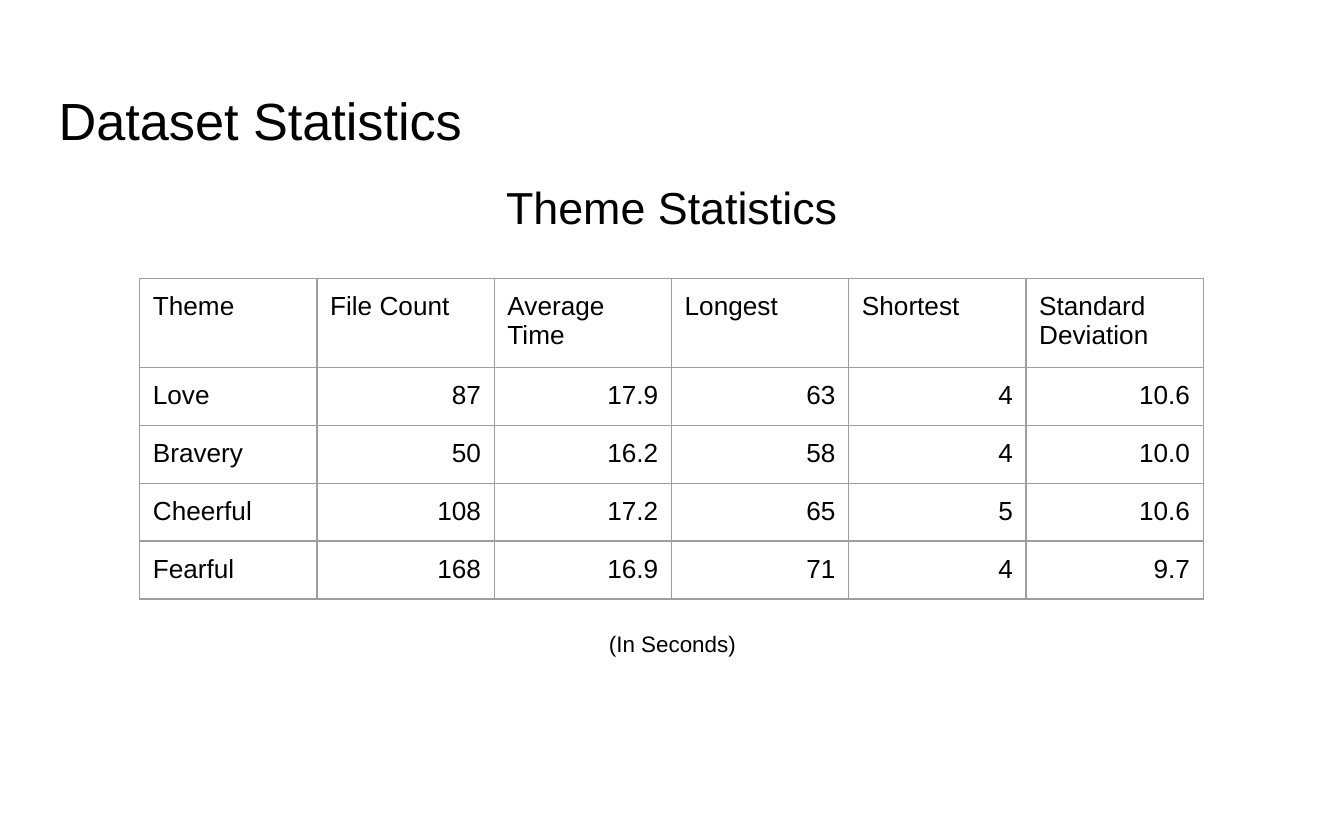
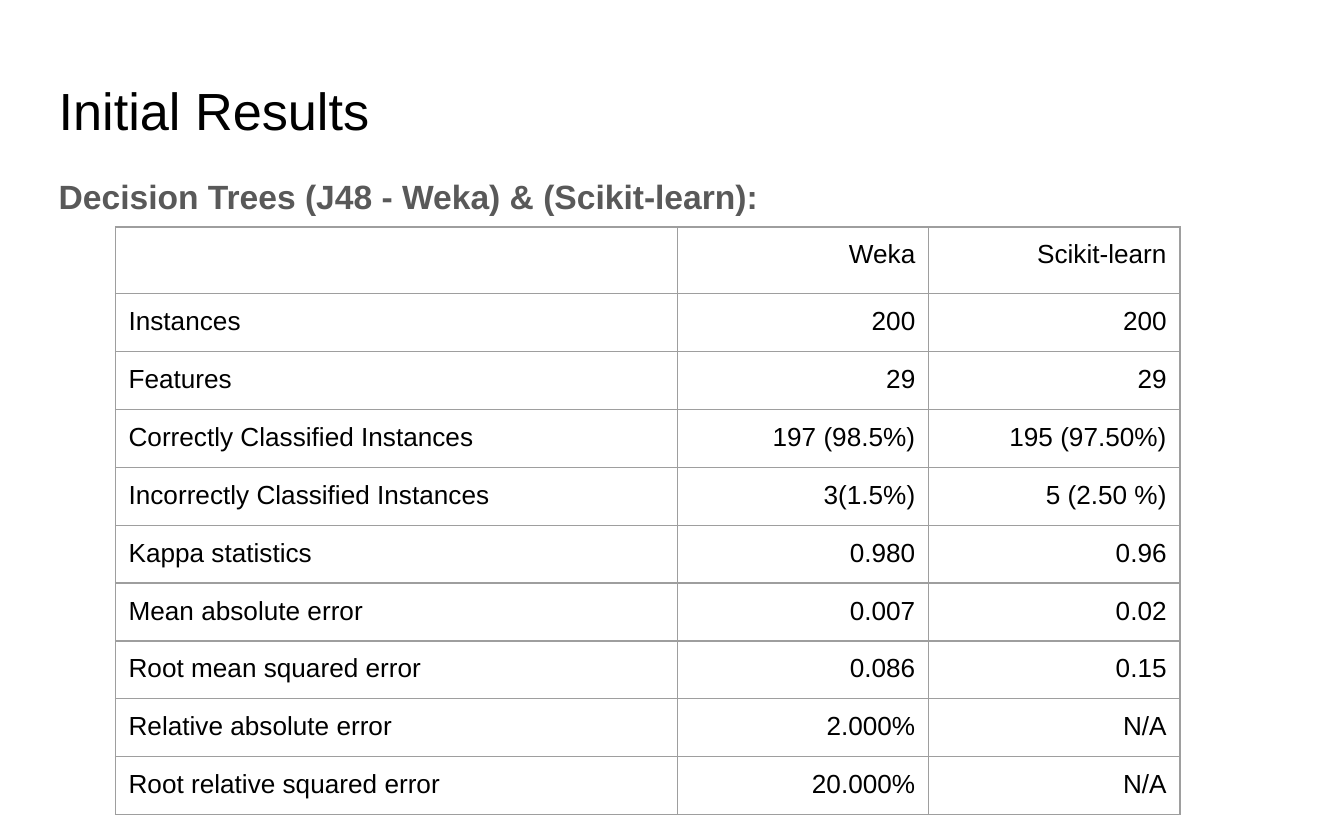
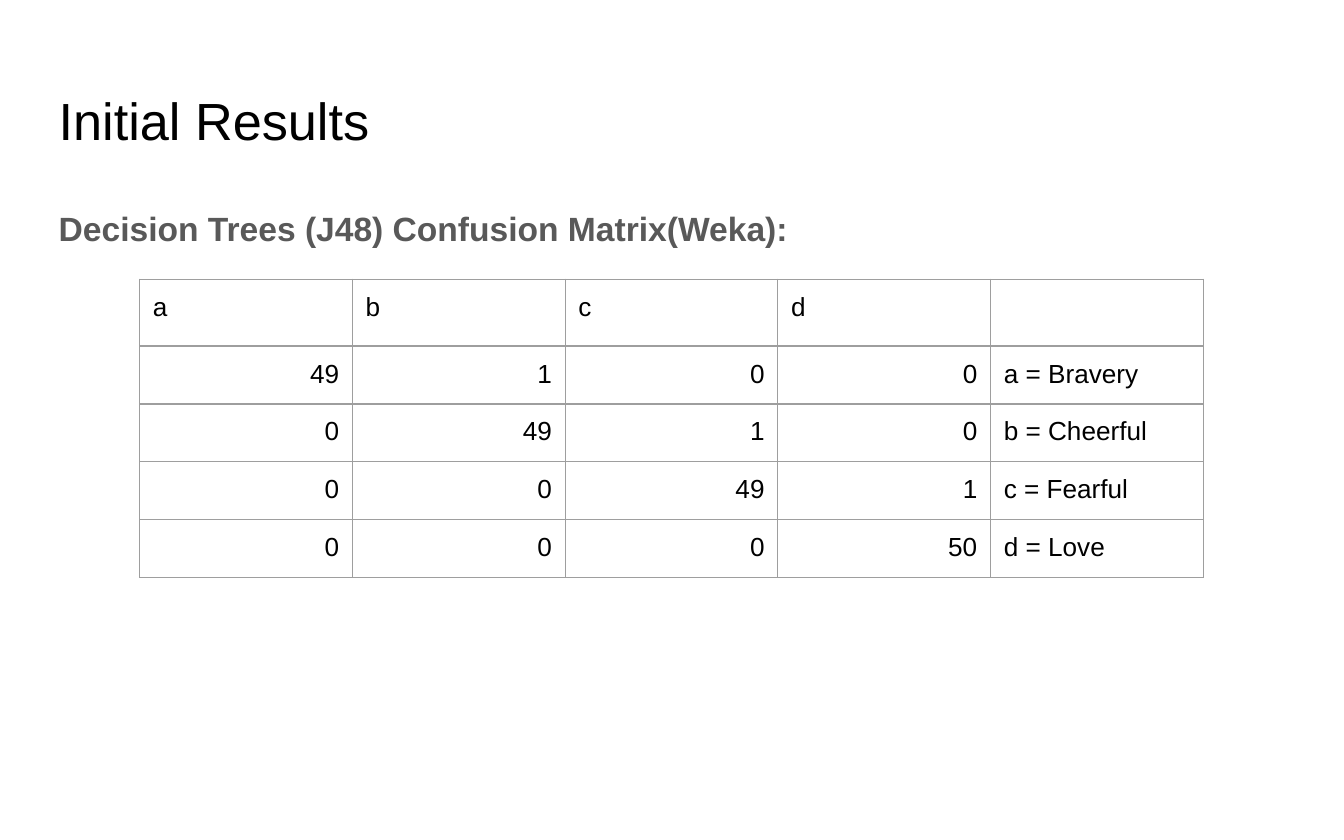
from lxml import etree
from pptx import Presentation
from pptx.dml.color import RGBColor
from pptx.enum.text import MSO_ANCHOR, PP_ALIGN
from pptx.oxml.ns import qn
from pptx.util import Cm, Pt

LEFT, CENTER, RIGHT = PP_ALIGN.LEFT, PP_ALIGN.CENTER, PP_ALIGN.RIGHT
TOP, MIDDLE = MSO_ANCHOR.TOP, MSO_ANCHOR.MIDDLE
FONT = "Arial"
BLACK, GRAY, BORDER = "000000", "595959", "9E9E9E"
INSET = Cm(0.25)
MARGIN_LEFT, CONTENT_WIDTH = 0.86, 23.67
TABLE_LEFT, TABLE_WIDTH = 2.64, 20.1
ROW_HEIGHT = 1.06

THEME_ROWS = [
    ["Theme", "File Count", "Average Time", "Longest", "Shortest", "Standard Deviation"],
    ["Love", "87", "17.9", "63", "4", "10.6"],
    ["Bravery", "50", "16.2", "58", "4", "10.0"],
    ["Cheerful", "108", "17.2", "65", "5", "10.6"],
    ["Fearful", "168", "16.9", "71", "4", "9.7"],
]
RESULT_ROWS = [
    ["", "Weka", "Scikit-learn"],
    ["Instances", "200", "200"],
    ["Features", "29", "29"],
    ["Correctly Classified Instances", "197 (98.5%)", "195 (97.50%)"],
    ["Incorrectly Classified Instances", "3(1.5%)", "5 (2.50 %)"],
    ["Kappa statistics", "0.980", "0.96"],
    ["Mean absolute error", "0.007", "0.02"],
    ["Root mean squared error", "0.086", "0.15"],
    ["Relative absolute error", "2.000%", "N/A"],
    ["Root relative squared error", "20.000%", "N/A"],
]
CONFUSION_ROWS = [
    ["a", "b", "c", "d", ""],
    ["49", "1", "0", "0", "a = Bravery"],
    ["0", "49", "1", "0", "b = Cheerful"],
    ["0", "0", "49", "1", "c = Fearful"],
    ["0", "0", "0", "50", "d = Love"],
]


def color(value):
    return RGBColor.from_string(value)


def set_insets(target):
    target.margin_left = target.margin_right = INSET
    target.margin_top = target.margin_bottom = INSET


def write(text_frame, text, size, text_color=BLACK, bold=False, align=LEFT):
    text_frame.text = text
    paragraph = text_frame.paragraphs[0]
    paragraph.alignment = align
    for run in paragraph.runs:
        run.font.name = FONT
        run.font.size = Pt(size)
        run.font.bold = bold
        run.font.color.rgb = color(text_color)
    return paragraph


def add_text(slide, text, left, top, width, height, size, anchor=TOP, **style):
    box = slide.shapes.add_textbox(Cm(left), Cm(top), Cm(width), Cm(height))
    text_frame = box.text_frame
    text_frame.word_wrap = True
    text_frame.vertical_anchor = anchor
    set_insets(text_frame)
    return write(text_frame, text, size, **style)


def add_title(slide, text, top=1.37):
    add_text(slide, text, MARGIN_LEFT, top, CONTENT_WIDTH, 1.78, 28, anchor=MIDDLE)


def add_subtitle(slide, text, top):
    paragraph = add_text(slide, text, MARGIN_LEFT, top, 22.73, 1.17, 18,
                         text_color=GRAY, bold=True)
    paragraph.line_spacing = 1.15


def set_borders(cell):
    properties = cell._tc.get_or_add_tcPr()
    for index, side in enumerate(("a:lnL", "a:lnR", "a:lnT", "a:lnB")):
        line = etree.Element(qn(side), w=str(Pt(0.75)))
        fill = etree.SubElement(line, qn("a:solidFill"))
        etree.SubElement(fill, qn("a:srgbClr"), val=BORDER)
        properties.insert(index, line)


def add_grid(slide, rows, left, top, widths, header_height, header_align=LEFT, label_column=0):
    heights = [header_height] + [ROW_HEIGHT] * (len(rows) - 1)
    frame = slide.shapes.add_table(len(rows), len(widths), Cm(left), Cm(top),
                                   Cm(sum(widths)), Cm(sum(heights)))
    table = frame.table
    table.first_row = table.horz_banding = False
    for column, width in zip(table.columns, widths):
        column.width = Cm(width)
    for row_index, values in enumerate(rows):
        table.rows[row_index].height = Cm(heights[row_index])
        for column_index, value in enumerate(values):
            cell = table.cell(row_index, column_index)
            cell.fill.background()
            set_insets(cell)
            set_borders(cell)
            align = RIGHT if row_index else header_align
            if column_index == label_column:
                align = LEFT
            write(cell.text_frame, value, 14, align=align)


def add_theme_statistics(slide):
    add_title(slide, "Dataset Statistics")
    add_grid(slide, THEME_ROWS, TABLE_LEFT, 5.26, [TABLE_WIDTH / 6] * 6, 1.63)
    add_text(slide, "Theme Statistics", MARGIN_LEFT, 3.15, CONTENT_WIDTH, 1.78, 24,
             align=CENTER)
    add_text(slide, "(In Seconds)", 11.07, 11.66, 3.28, 0.99, 12, align=CENTER)


def add_classifier_results(slide):
    add_title(slide, "Initial Results", top=1.19)
    add_subtitle(slide, "Decision Trees (J48 - Weka) & (Scikit-learn):", 2.97)
    add_grid(slide, RESULT_ROWS, 2.18, 4.29, [10.62, 4.75, 4.75], 1.21, header_align=RIGHT)


def add_confusion_matrix(slide):
    add_title(slide, "Initial Results")
    add_subtitle(slide, "Decision Trees (J48) Confusion Matrix(Weka):", 3.56)
    add_grid(slide, CONFUSION_ROWS, TABLE_LEFT, 5.28, [TABLE_WIDTH / 5] * 5, 1.21,
             label_column=4)


def main():
    presentation = Presentation()
    presentation.slide_width = Cm(25.4)
    presentation.slide_height = Cm(15.88)
    blank = presentation.slide_layouts[6]
    for build in (add_theme_statistics, add_classifier_results, add_confusion_matrix):
        build(presentation.slides.add_slide(blank))
    presentation.save("out.pptx")


if __name__ == "__main__":
    main()
